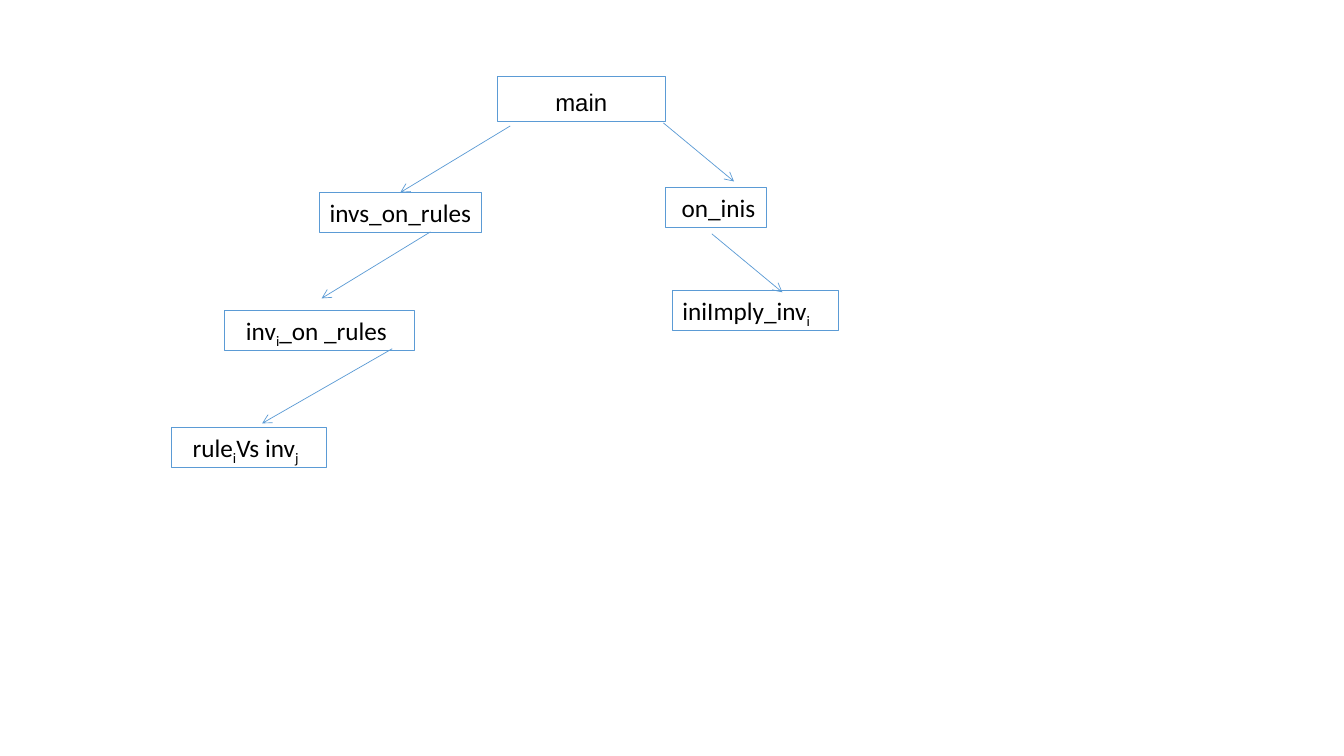
from lxml import etree
from pptx import Presentation
from pptx.dml.color import RGBColor
from pptx.enum.shapes import MSO_CONNECTOR, MSO_SHAPE
from pptx.enum.text import MSO_ANCHOR, MSO_AUTO_SIZE, PP_ALIGN
from pptx.oxml.ns import qn
from pptx.util import Emu, Pt

BLUE = RGBColor(0x5B, 0x9B, 0xD5)
BLACK = RGBColor(0x00, 0x00, 0x00)
RECTANGLE = MSO_SHAPE.RECTANGLE
STRAIGHT = MSO_CONNECTOR.STRAIGHT
TOP, BOTTOM = MSO_ANCHOR.TOP, MSO_ANCHOR.BOTTOM
LEFT, CENTER = PP_ALIGN.LEFT, PP_ALIGN.CENTER
FIXED_SIZE = MSO_AUTO_SIZE.NONE

EMU_PER_PX = 9144  # 100 px to the inch
TITLE_ONLY = 5
BOX_HEIGHT = 40


def px(length):
    return Emu(length * EMU_PER_PX)


class CallTree:
    """Style and current slide of a function call diagram."""

    def __init__(self, deck):
        self.slide = deck.slides.add_slide(deck.slide_layouts[TITLE_ONLY])

    def outline(self, box):
        box.fill.background()
        box.line.color.rgb = BLUE
        box.line.width = Pt(0.75)

    def format_span(self, span, name, size):
        span.font.name = name
        span.font.size = Pt(size)
        span.font.color.rgb = BLACK

    def title(self, text, left, top, width, height):
        title = self.slide.shapes.title
        title.left, title.top, title.width, title.height = map(px, (left, top, width, height))
        self.outline(title)
        frame = title.text_frame
        frame.text = text
        frame.auto_size = FIXED_SIZE
        frame.vertical_anchor = BOTTOM
        para = frame.paragraphs[0]
        para.alignment = CENTER
        para.line_spacing = 0.9
        self.format_span(para.runs[0], "Arial", 17.1)

    def box(self, left, top, width, indent, *parts):
        """Every second part is a subscript."""
        box = self.slide.shapes.add_shape(
            RECTANGLE, px(left), px(top), px(width), px(BOX_HEIGHT))
        box.shadow.inherit = False
        self.outline(box)
        frame = box.text_frame
        frame.word_wrap = True
        frame.vertical_anchor = TOP
        frame.margin_left, frame.margin_right = px(indent), px(0)
        para = frame.paragraphs[0]
        para.alignment = LEFT
        for index, part in enumerate(parts):
            span = para.add_run()
            span.text = part
            self.format_span(span, "Calibri", 18)
            if index % 2:
                span.font._element.set("baseline", "-25000")

    def arrow(self, start_x, start_y, end_x, end_y):
        arrow = self.slide.shapes.add_connector(
            STRAIGHT, px(start_x), px(start_y), px(end_x), px(end_y))
        arrow.line.color.rgb = BLUE
        arrow.line.width = Pt(0.5)
        line = arrow.line._get_or_add_ln()
        etree.SubElement(line, qn("a:tailEnd"), type="arrow")
        etree.SubElement(arrow._element.spPr, qn("a:effectLst"))


def main():
    deck = Presentation()
    deck.slide_width, deck.slide_height = px(1333), px(750)
    tree = CallTree(deck)

    # Root function
    tree.title("main", 493, 76, 167, 45)

    # Rule branch
    tree.box(317, 191, 161, 10, "invs_on_rules")
    tree.box(223, 308, 188, 21, "inv", "i", "_on _rules")
    tree.box(170, 424, 154, 21, "rule", "i", "Vs inv", "j")

    # Initial state branch
    tree.box(660, 186, 100, 16, "on_inis")
    tree.box(667, 288, 165, 10, "iniImply_inv", "i")

    # Calls
    for call in (
        (506, 125, 397, 191),
        (427, 230, 319, 296),
        (389, 346, 260, 420),
        (658, 122, 728, 180),
        (706, 232, 776, 290),
    ):
        tree.arrow(*call)

    deck.save("out.pptx")


if __name__ == "__main__":
    main()
